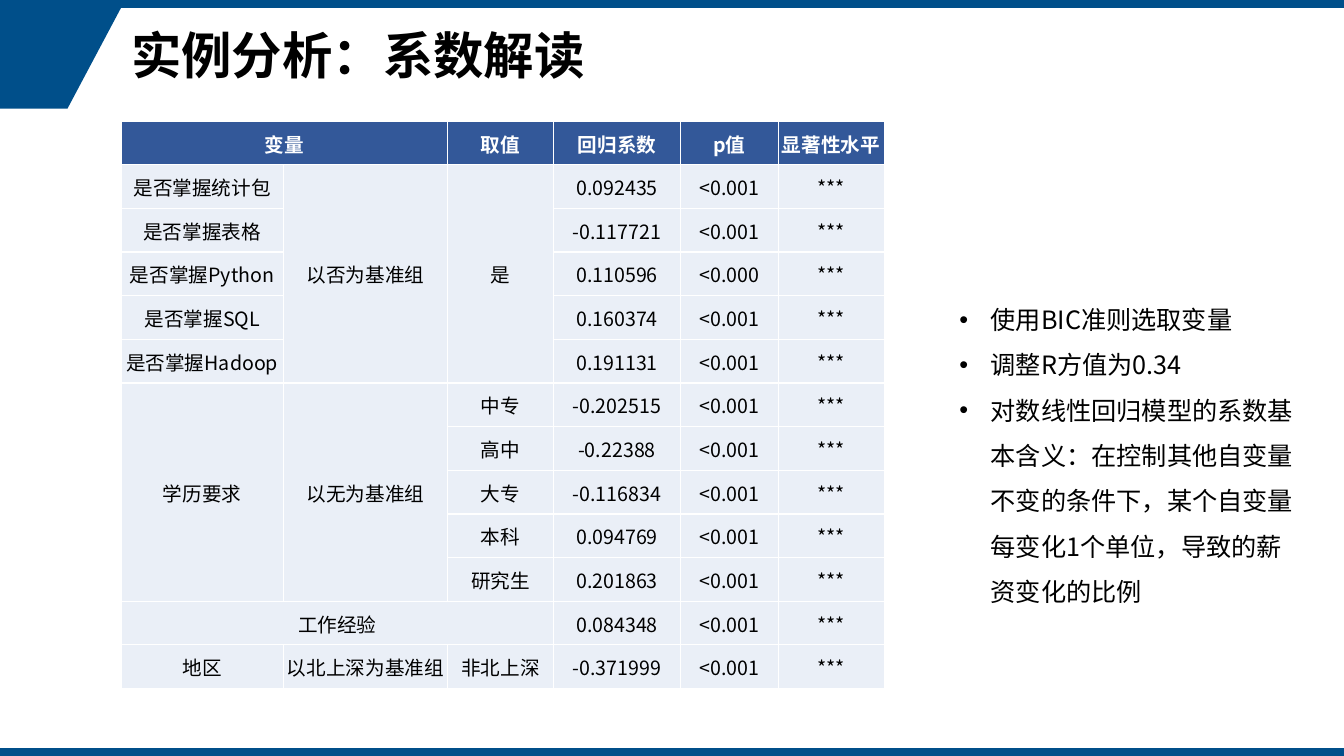
from lxml import etree
from pptx import Presentation, util as u
from pptx.dml.color import RGBColor
from pptx.enum import shapes, text
from pptx.oxml.ns import qn

FONT = "Noto Sans CJK SC"
HUES = {"brand": "004F8A", "head": "335899", "cell": "EAEFF7",
        "ink": "000000", "white": "FFFFFF"}
WIDE, HIGH, BAR = 33.87, 19.05, 0.2

COLS = [4.09, 4.14, 2.67, 3.2, 2.46, 2.67]
ROW = 1.1
HEAD = ["变量", "", "取值", "回归系数", "p值", "显著性水平"]
# Variable, baseline, value, coefficient, p value
DATA = [
    ["是否掌握统计包", "以否为基准组", "是", "0.092435", "<0.001"],
    ["是否掌握表格", "", "", "-0.117721", "<0.001"],
    ["是否掌握Python", "", "", "0.110596", "<0.000"],
    ["是否掌握SQL", "", "", "0.160374", "<0.001"],
    ["是否掌握Hadoop", "", "", "0.191131", "<0.001"],
    ["学历要求", "以无为基准组", "中专", "-0.202515", "<0.001"],
    ["", "", "高中", "-0.22388", "<0.001"],
    ["", "", "大专", "-0.116834", "<0.001"],
    ["", "", "本科", "0.094769", "<0.001"],
    ["", "", "研究生", "0.201863", "<0.001"],
    ["工作经验", "", "", "0.084348", "<0.001"],
    ["地区", "以北上深为基准组", "非北上深", "-0.371999", "<0.001"],
]
# First row, first column, last row, last column
SPANS = [(0, 0, 0, 1), (1, 1, 5, 1), (1, 2, 5, 2),
         (6, 0, 10, 0), (6, 1, 10, 1), (11, 0, 11, 2)]
NOTES = [
    "使用BIC准则选取变量",
    "调整R方值为0.34",
    "对数线性回归模型的系数基本含义：在控制其他自变量不变的条件下，"
    "某个自变量每变化1个单位，导致的薪资变化的比例",
]


def cm(*vals):
    return [u.Cm(val) for val in vals]


def hue(key):
    return RGBColor.from_string(HUES[key])


class Deck:
    """Holds the house style and the slide being drawn."""

    def __init__(self):
        self.prs = Presentation()
        self.prs.slide_width, self.prs.slide_height = cm(WIDE, HIGH)
        self.slide = self.prs.slides.add_slide(self.prs.slide_layouts[5])

    def font(self, para, size, color="ink", bold=False):
        """Style a paragraph, for Latin and East Asian text alike."""
        font = para.font
        font.size, font.bold, font.name = u.Pt(size), bold, FONT
        font.color.rgb = hue(color)
        latin = font._rPr.find(qn("a:latin"))
        east = etree.Element(qn("a:ea"), typeface=FONT)
        latin.addnext(east)

    def paint(self, shape, color):
        shape.shadow.inherit = False
        shape.fill.solid()
        shape.fill.fore_color.rgb = hue(color)
        shape.line.fill.background()

    def bar(self, top):
        shape = self.slide.shapes.add_shape(
            shapes.MSO_SHAPE.RECTANGLE, *cm(0, top, WIDE, BAR))
        self.paint(shape, "brand")

    def flag(self, points):
        first, *rest = [cm(*point) for point in points]
        path = self.slide.shapes.build_freeform(*first)
        path.add_line_segments(rest, close=True)
        self.paint(path.convert_to_shape(), "brand")

    def title(self, words, *box):
        shape = self.slide.shapes.title
        shape.left, shape.top, shape.width, shape.height = cm(*box)
        frame = shape.text_frame
        frame.text = words
        frame.auto_size = text.MSO_AUTO_SIZE.NONE
        frame.vertical_anchor = text.MSO_ANCHOR.MIDDLE
        para = frame.paragraphs[0]
        para.alignment = text.PP_ALIGN.LEFT
        para.line_spacing = 0.9
        self.font(para, 36, bold=True)

    def bullets(self, items, *box):
        frame = self.slide.shapes.add_textbox(*cm(*box)).text_frame
        frame.word_wrap = True
        frame.auto_size = text.MSO_AUTO_SIZE.SHAPE_TO_FIT_TEXT
        frame.text = "\n".join(items)
        for para in frame.paragraphs:
            para.line_spacing = 1.5
            props = para._p.get_or_add_pPr()
            props.set("marL", str(u.Cm(0.79)))
            props.set("indent", str(u.Cm(-0.79)))
            etree.SubElement(props, qn("a:buFont"), typeface="Arial")
            etree.SubElement(props, qn("a:buChar"), char="•")
            self.font(para, 18)

    def edges(self, cell):
        """Draw a thin white line on each side of a cell."""
        props = cell._tc.get_or_add_tcPr()
        for spot, side in enumerate(("lnL", "lnR", "lnT", "lnB")):
            line = etree.Element(qn("a:" + side), w=str(u.Pt(1)))
            fill = etree.SubElement(line, qn("a:solidFill"))
            etree.SubElement(fill, qn("a:srgbClr"), val=HUES["white"])
            props.insert(spot, line)

    def cell(self, cell, words, head):
        cell.text = words
        cell.vertical_anchor = text.MSO_ANCHOR.MIDDLE
        cell.margin_left = cell.margin_right = cell.margin_top = u.Cm(0.03)
        cell.margin_bottom = 0
        cell.fill.solid()
        cell.fill.fore_color.rgb = hue("head" if head else "cell")
        self.edges(cell)
        para = cell.text_frame.paragraphs[0]
        para.alignment = text.PP_ALIGN.CENTER
        self.font(para, 14, "white" if head else "ink", head)

    def table(self, rows, spans, left, top):
        grid = self.slide.shapes.add_table(
            len(rows), len(COLS),
            *cm(left, top, sum(COLS), ROW * len(rows))).table
        for col, width in zip(grid.columns, COLS):
            col.width = u.Cm(width)
        for r, row in enumerate(rows):
            grid.rows[r].height = u.Cm(ROW)
            for c, words in enumerate(row):
                self.cell(grid.cell(r, c), words, r == 0)
        for r, c, down, right in spans:
            grid.cell(r, c).merge(grid.cell(down, right))


def main():
    deck = Deck()
    deck.flag([(0, BAR), (3.05, BAR), (1.7, 2.74), (0, 2.74)])
    for top in (0, HIGH - BAR):
        deck.bar(top)
    deck.title("实例分析：系数解读", 3.05, BAR, 28.5, 2.54)
    deck.bullets(NOTES, 23.93, 7.16, 9.02, 8.2)
    deck.table([HEAD] + [row + ["***"] for row in DATA], SPANS, 3.05, 3.05)
    deck.prs.save("out.pptx")


if __name__ == "__main__":
    main()
